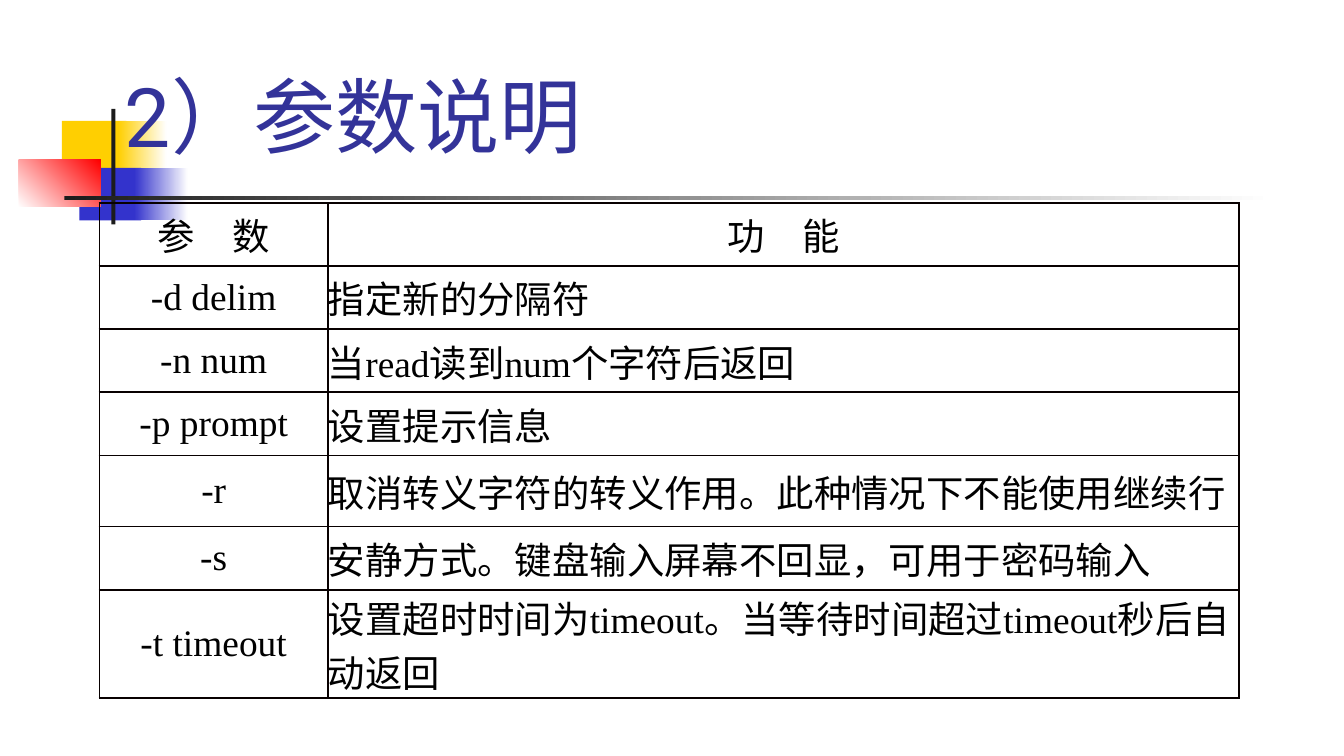
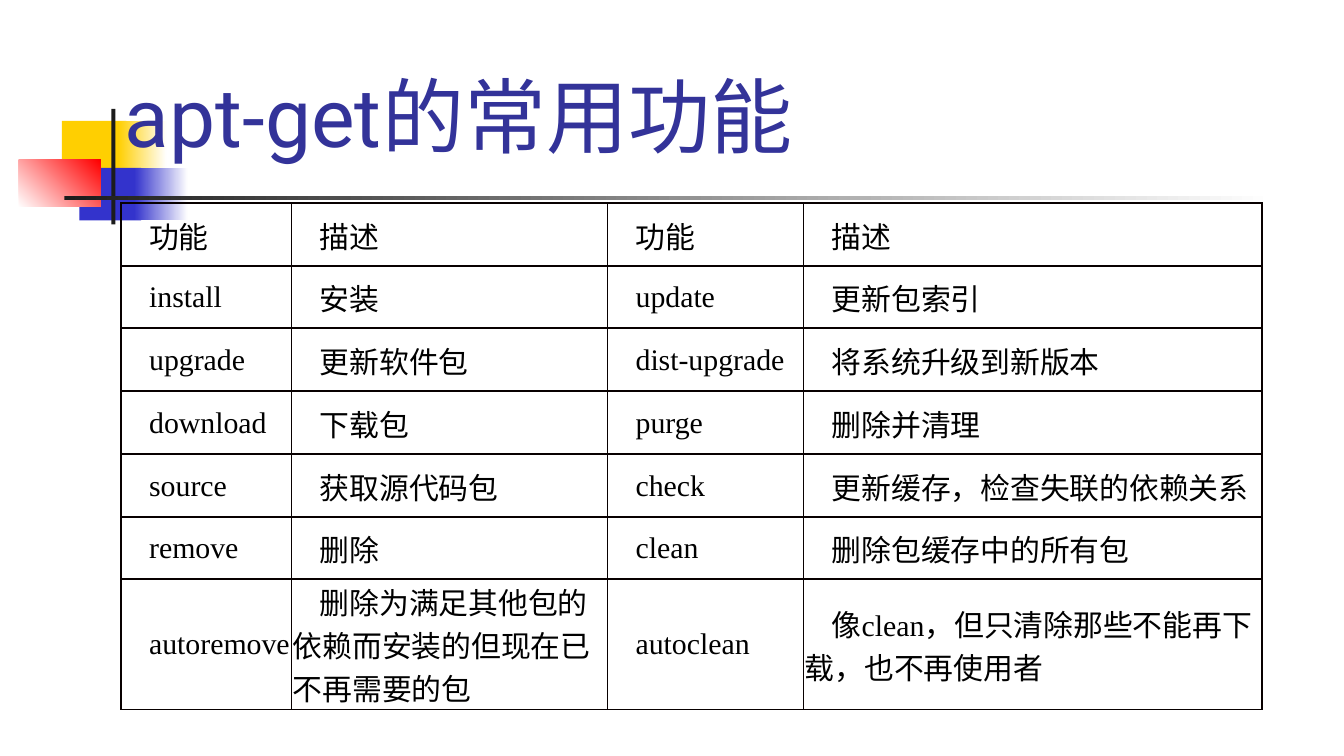
from itertools import groupby

from lxml.etree import SubElement
from pptx import Presentation
from pptx.dml.color import RGBColor
from pptx.enum.shapes import MSO_SHAPE as Shape
from pptx.enum.text import MSO_ANCHOR as Anchor, MSO_AUTO_SIZE as AutoSize, PP_ALIGN as Align
from pptx.oxml.ns import qn
from pptx.util import Inches, Pt

# Shared look
WHITE = RGBColor(0xFF, 0xFF, 0xFF)
BLACK = RGBColor(0x00, 0x00, 0x00)
YELLOW = RGBColor(0xFF, 0xCF, 0x01)
BLUE = RGBColor(0x33, 0x33, 0xCC)
RED = RGBColor(0xFF, 0x00, 0x00)
CHARCOAL = RGBColor(0x1C, 0x1C, 0x1C)
TITLE_COLOR = RGBColor(0x33, 0x33, 0x99)
BORDER = RGBColor(0x08, 0x00, 0x00)
TITLE_FONT, LATIN_FONT, CHINESE_FONT = "Roboto", "Times New Roman", "Noto Sans CJK SC"
SLIDE_WIDTH = Inches(10)
SLIDE_HEIGHT = SLIDE_WIDTH * 9 // 16
TITLE_BOX = (0.83, 0.33, 8.92, 0.94)
TABLE_TOP = 1.51

# Box, fill colours (two make a gradient), gradient angle, outline width
DECORATION = [
    ((0.46, 0.9, 0.48, 0.39), [YELLOW], 0, 0),
    ((0.88, 0.9, 0.36, 0.39), [YELLOW, WHITE], 0, 0),
    ((0.59, 1.25, 0.46, 0.39), [BLUE], 0, 0),
    ((1, 1.25, 0.4, 0.39), [BLUE, WHITE], 0, 0),
    ((0.14, 1.19, 0.61, 0.35), [WHITE, RED], 45, 0),
    ((0.83, 0.81, 0.03, 0.86), [CHARCOAL], 0, 0),
    ((0.48, 1.46, 9, 0.03), [CHARCOAL, WHITE], 0, 0),
    ((6.42, 5, 3.23, 0.63), [WHITE], 0, 2),
]

# Slide content
SLIDES = [
    {
        "title": "2）参数说明",
        "left": 0.74,
        "columns": [1.7, 6.78],
        "heights": [0.47, 0.47, 0.47, 0.47, 0.53, 0.47, 0.7],
        "size": 20,
        "indent": 0,
        "margins": (0, 0, 0, 0),
        "centered": True,
        "rows": [
            ("参　数", "功　能"),
            ("-d delim", "指定新的分隔符"),
            ("-n num", "当read读到num个字符后返回"),
            ("-p prompt", "设置提示信息"),
            ("-r", "取消转义字符的转义作用。此种情况下不能使用继续行"),
            ("-s", "安静方式。键盘输入屏幕不回显，可用于密码输入"),
            ("-t timeout", "设置超时时间为timeout。当等待时间超过timeout秒后自动返回"),
        ],
    },
    {
        "title": "apt-get的常用功能",
        "left": 0.9,
        "columns": [1.27, 2.35, 1.46, 3.41],
        "heights": [0.47, 0.46, 0.47, 0.47, 0.47, 0.46, 0.65],
        "size": 16,
        "indent": 0.2,
        "margins": (0.01, 0.01, 0.01, 0),
        "centered": False,
        "rows": [
            ("功能", "描述", "功能", "描述"),
            ("install", "安装", "update", "更新包索引"),
            ("upgrade", "更新软件包", "dist-upgrade", "将系统升级到新版本"),
            ("download", "下载包", "purge", "删除并清理"),
            ("source", "获取源代码包", "check", "更新缓存，检查失联的依赖关系"),
            ("remove", "删除", "clean", "删除包缓存中的所有包"),
            ("autoremove", "删除为满足其他包的依赖而安装的但现在已不再需要的包",
             "autoclean", "像clean，但只清除那些不能再下载，也不再使用者"),
        ],
    },
]


def write_text(paragraph, text, size, color=BLACK, font=None, align=Align.LEFT, indent=0):
    """Fill a paragraph; without a font, Latin and Chinese parts get their own."""
    paragraph.alignment = align
    if indent:
        paragraph_format = paragraph._p.get_or_add_pPr()
        paragraph_format.set("marL", "0")
        paragraph_format.set("indent", str(Inches(indent)))
    if font:
        parts = [(font, text)]
    else:
        parts = [(LATIN_FONT if latin else CHINESE_FONT, "".join(letters))
                 for latin, letters in groupby(text, str.isascii)]
    for part_font, part in parts:
        run = paragraph.add_run()
        run.text = part
        run.font.size = Pt(size)
        run.font.color.rgb = color
        run.font.name = part_font
        SubElement(run.font._element, qn("a:ea"), typeface=CHINESE_FONT)


def add_block(slide, box, colors, angle, outline):
    shape = slide.shapes.add_shape(Shape.RECTANGLE, *map(Inches, box))
    shape.shadow.inherit = False
    if outline:
        shape.line.color.rgb = colors[0]
        shape.line.width = Pt(outline)
    else:
        shape.line.fill.background()
    if len(colors) == 1:
        shape.fill.solid()
        shape.fill.fore_color.rgb = colors[0]
    else:
        shape.fill.gradient()
        shape.fill.gradient_angle = angle
        for stop, color, position in zip(shape.fill.gradient_stops, colors, (0, 1)):
            stop.color.rgb = color
            stop.position = position
    return shape


def decorate_layout(layout, slide):
    """Draw the blocks on a slide, then move them behind the layout's placeholders."""
    for index, block in enumerate(DECORATION):
        shape = add_block(slide, *block)
        layout.shapes.element.insert(2 + index, shape.element)


def set_title(slide, text):
    title = slide.shapes.title
    title.left, title.top, title.width, title.height = map(Inches, TITLE_BOX)
    frame = title.text_frame
    frame.word_wrap = True
    frame.auto_size = AutoSize.NONE
    frame.vertical_anchor = Anchor.BOTTOM
    write_text(frame.paragraphs[0], text, 44, color=TITLE_COLOR, font=TITLE_FONT)


def style_cell(cell, margins):
    cell.vertical_anchor = Anchor.MIDDLE
    cell.margin_left, cell.margin_top, cell.margin_right, cell.margin_bottom = map(Inches, margins)
    properties = cell._tc.get_or_add_tcPr()
    for side in ("L", "R", "T", "B"):
        line = SubElement(properties, qn(f"a:ln{side}"), w=str(Pt(1)))
        fill = SubElement(line, qn("a:solidFill"))
        SubElement(fill, qn("a:srgbClr"), val=str(BORDER))
    cell.fill.background()


def add_grid(slide, content):
    rows, columns, heights = content["rows"], content["columns"], content["heights"]
    box = (content["left"], TABLE_TOP, sum(columns), sum(heights))
    table = slide.shapes.add_table(len(rows), len(columns), *map(Inches, box)).table
    table.first_row = table.horz_banding = False
    for column, width in zip(table.columns, columns):
        column.width = Inches(width)
    for row, height in zip(table.rows, heights):
        row.height = Inches(height)
    for row_index, row in enumerate(rows):
        for column_index, text in enumerate(row):
            cell = table.cell(row_index, column_index)
            style_cell(cell, content["margins"])
            # Header row and first column are centred where the table asks for it
            centered = content["centered"] and 0 in (row_index, column_index)
            write_text(cell.text_frame.paragraphs[0], text, content["size"],
                       align=Align.CENTER if centered else Align.LEFT,
                       indent=content["indent"])


def main():
    presentation = Presentation()
    presentation.slide_width, presentation.slide_height = SLIDE_WIDTH, SLIDE_HEIGHT
    layout = presentation.slide_layouts[5]
    for index, content in enumerate(SLIDES):
        slide = presentation.slides.add_slide(layout)
        if index == 0:
            decorate_layout(layout, slide)
        set_title(slide, content["title"])
        add_grid(slide, content)
    presentation.save("out.pptx")


if __name__ == "__main__":
    main()
